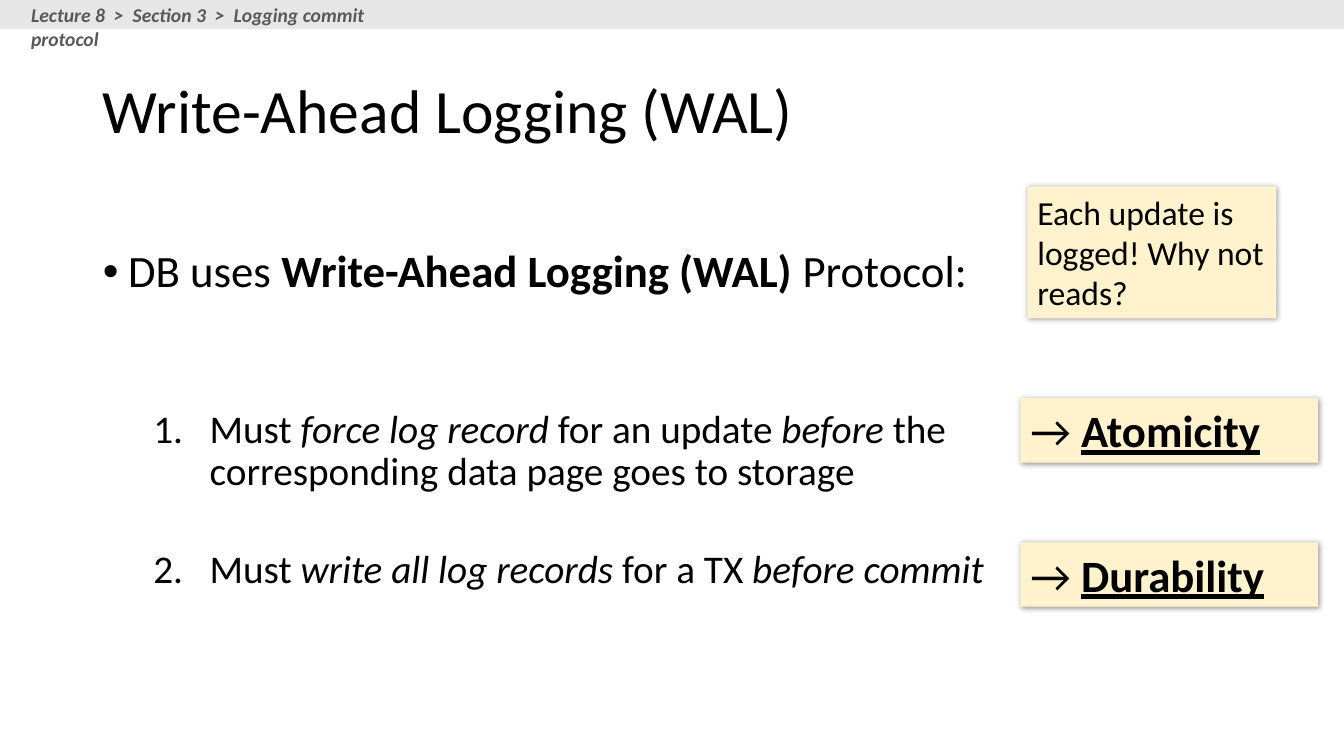
"""Build the Write-Ahead Logging lecture slide."""
from lxml import etree
from pptx import Presentation
from pptx.dml.color import RGBColor
from pptx.enum.shapes import MSO_SHAPE
from pptx.enum.text import MSO_ANCHOR, MSO_AUTO_SIZE, PP_ALIGN
from pptx.oxml.ns import qn
from pptx.util import Inches, Pt

RECTANGLE = MSO_SHAPE.RECTANGLE
LEFT = PP_ALIGN.LEFT
TOP, MIDDLE = MSO_ANCHOR.TOP, MSO_ANCHOR.MIDDLE
NO_AUTOFIT = MSO_AUTO_SIZE.NONE
COLORS = {"text": "000000", "breadcrumb": "595959", "bar": "E7E6E6",
          "note": "FFF2CC", "shadow": "000000"}


def add_text(paragraph, text, size=28, color="text", bold=False, italic=False, underline=False):
    """Add one formatted run to a paragraph."""
    run = paragraph.add_run()
    run.text = text
    font = run.font
    font.name = "Calibri"
    font.size = Pt(size)
    font.bold = bold
    font.italic = italic
    font.underline = underline
    font.color.rgb = RGBColor.from_string(COLORS[color])


def add_rectangle(slide, left, top, width, height, color):
    """Add a plain filled rectangle without outline or shadow."""
    shape = slide.shapes.add_shape(
        RECTANGLE, Inches(left), Inches(top), Inches(width), Inches(height))
    shape.fill.solid()
    shape.fill.fore_color.rgb = RGBColor.from_string(COLORS[color])
    shape.line.fill.background()
    shape.shadow.inherit = False
    return shape


presentation = Presentation()
presentation.slide_width = Inches(13.33)
presentation.slide_height = Inches(7.5)
slide = presentation.slides.add_slide(presentation.slide_layouts[1])

title = slide.shapes.title
title.left, title.top = Inches(0.92), Inches(0.4)
title.width, title.height = Inches(11.5), Inches(1.45)
title.text_frame.auto_size = NO_AUTOFIT
title.text_frame.vertical_anchor = MIDDLE
title_paragraph = title.text_frame.paragraphs[0]
title_paragraph.alignment = LEFT
title_paragraph.line_spacing = 0.9
add_text(title_paragraph, "Write-Ahead Logging (WAL)", size=44)

body = slide.placeholders[1]
body.left, body.top = Inches(0.92), Inches(2.42)
body.width, body.height = Inches(9.28), Inches(4.91)
body.text_frame.auto_size = NO_AUTOFIT
body.text_frame.vertical_anchor = TOP
body_items = [
    (0, 0, 32, [("DB uses ", {}), ("Write-Ahead Logging (WAL)", {"bold": True}),
                (" Protocol:", {})]),
    (1, 80, 28, [("Must ", {}), ("force log record", {"italic": True}),
                 (" for an update ", {}), ("before", {"italic": True}),
                 (" the corresponding data page goes to storage", {})]),
    (1, 40, 28, [("Must ", {}), ("write all log records ", {"italic": True}),
                 ("for a TX ", {}), ("before commit", {"italic": True})]),
]
for index, (level, space_before, size, runs) in enumerate(body_items):
    paragraph = body.text_frame.add_paragraph() if index else body.text_frame.paragraphs[0]
    paragraph.level = level
    margin, hanging = (1.06, 0.56) if level else (0.25, 0.25)
    properties = paragraph._p.get_or_add_pPr()
    properties.set("marL", str(Inches(margin)))
    properties.set("indent", str(-Inches(hanging)))
    if level:
        etree.SubElement(properties, qn("a:buFont"), typeface="+mj-lt")
        etree.SubElement(properties, qn("a:buAutoNum"), type="arabicPeriod")
    else:
        etree.SubElement(properties, qn("a:buFont"), typeface="Arial")
        etree.SubElement(properties, qn("a:buChar"), char="•")
    paragraph.line_spacing = 0.9
    paragraph.space_before = Pt(space_before)
    for text, style in runs:
        add_text(paragraph, text, size=size, **style)

add_rectangle(slide, 0, 0, 13.33, 0.29, "bar")
breadcrumb = slide.shapes.add_textbox(Inches(0.21), Inches(-0.02), Inches(4.16), Inches(0.34))
breadcrumb.text_frame.word_wrap = True
add_text(breadcrumb.text_frame.paragraphs[0],
         "Lecture 8  >  Section 3  >  Logging commit protocol",
         size=14, color="breadcrumb", bold=True, italic=True)

emphasis = {"size": 32, "bold": True, "underline": True}
notes = [
    (10.19, 1.85, 2.47, 1.31, [("Each update is logged! Why not reads?", {"size": 24})]),
    (10.12, 3.95, 2.95, 0.64, [("→ ", {"size": 32}), ("Atomicity", emphasis)]),
    (10.12, 5.38, 2.95, 0.64, [("→ ", {"size": 32}), ("Durability", emphasis)]),
]
for left, top, width, height, runs in notes:
    note = add_rectangle(slide, left, top, width, height, "note")
    effects = note._element.spPr.find(qn("a:effectLst"))
    shadow = etree.SubElement(effects, qn("a:outerShdw"), blurRad=str(Pt(4)),
                              dist=str(Pt(1)), dir="2700000", algn="tl", rotWithShape="0")
    shadow_color = etree.SubElement(shadow, qn("a:srgbClr"), val=COLORS["shadow"])
    etree.SubElement(shadow_color, qn("a:alpha"), val="40000")
    note.text_frame.word_wrap = True
    note.text_frame.vertical_anchor = TOP
    paragraph = note.text_frame.paragraphs[0]
    paragraph.alignment = LEFT
    for text, style in runs:
        add_text(paragraph, text, **style)

presentation.save("out.pptx")
